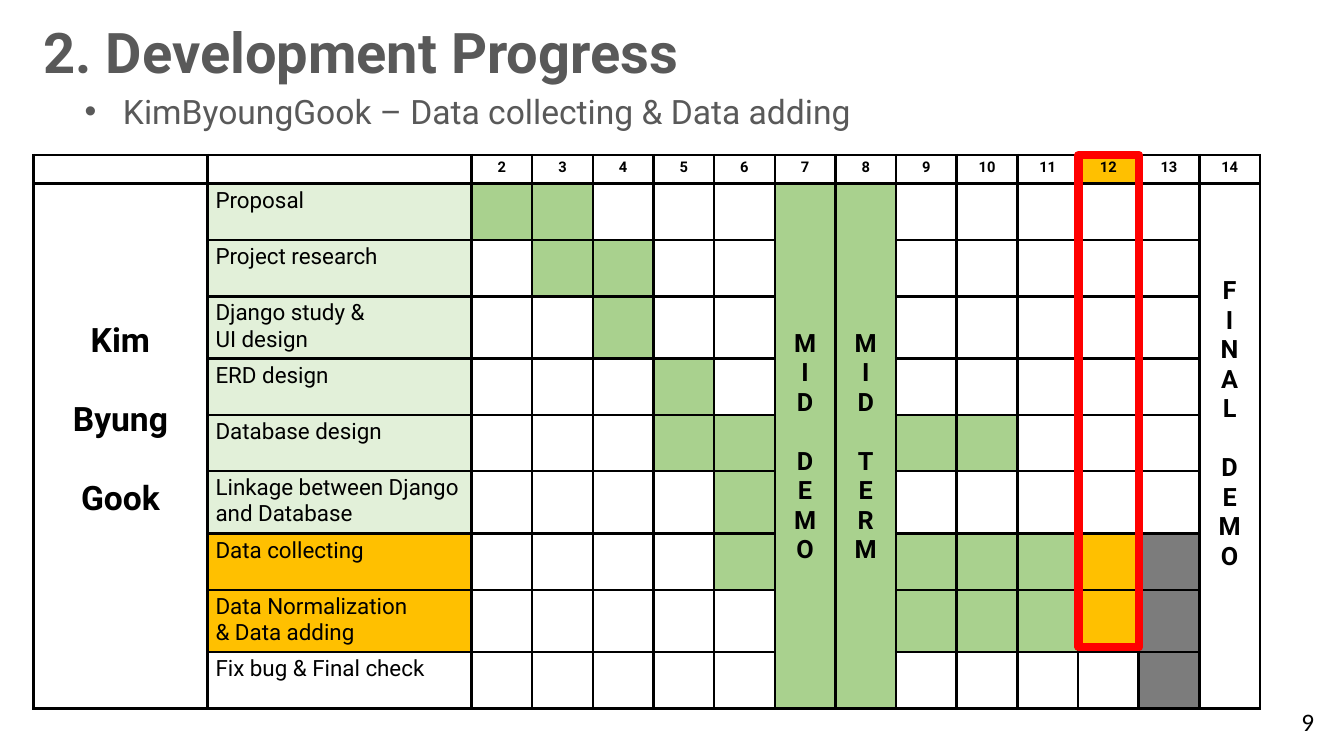
"""Build the development progress slide with its weekly schedule table."""
import dataclasses
import itertools
import typing

import lxml.etree
import pptx
import pptx.dml.color
import pptx.enum.shapes
import pptx.enum.text
import pptx.oxml.ns
import pptx.util

COLORS = {
    "text": "000000", "heading": "595959", "blank": "FFFFFF", "label": "E2F0D9",
    "done": "A9D18E", "now": "FFC000", "left": "7C7C7C", "frame": "FF0000",
}
WIDTH, HEIGHT = 13.33, 7.5
TABLE = (2.48, 20.53, 91.3, 73.2)
WEEKS = range(2, 15)
THIS_WEEK = 12
THICK_AFTER = (4, 10)
COL_UNITS = [2.87, 4.35] + [1] * len(WEEKS)
FRAME_HEIGHT = 65.07
ALIGN = pptx.enum.text.PP_ALIGN
ANCHOR = pptx.enum.text.MSO_ANCHOR
qn = pptx.oxml.ns.qn


@dataclasses.dataclass(frozen=True)
class Task:
    lines: tuple[str, ...]
    done: tuple[int, ...] = ()
    now: tuple[int, ...] = ()
    left: tuple[int, ...] = ()
    label: str = "label"
    units: int = 20

    def color(self, week: int) -> str:
        states = (state for state in ("done", "now", "left") if week in getattr(self, state))
        return next(states, "blank")


@dataclasses.dataclass(frozen=True)
class Span:
    col: int
    lines: tuple[str, ...]
    gaps: tuple[int, ...]
    size: int
    fill: str
    top: float
    anchor: typing.Any = ANCHOR.TOP


TASKS = [
    Task(("Proposal",), (2, 3)),
    Task(("Project research",), (3, 4)),
    Task(("Django study &", "UI design"), (4,), units=22),
    Task(("ERD design",), (5,)),
    Task(("Database design",), (5, 6, 9, 10)),
    Task(("Linkage between Django and Database",), (6,), units=22),
    Task(("Data collecting",), (6, 9, 10, 11), (12,), (13,), "now"),
    Task(("Data Normalization", "& Data adding"), (9, 10, 11), (12,), (13,), "now", 22),
    Task(("Fix bug & Final check",), left=(13,), label="blank"),
]
SPANS = [
    Span(0, ("Kim", "Byung", "Gook"), (1, 2), 24, "blank", 1.37),
    Span(7, tuple("MIDDEMO"), (3,), 18, "done", 0.06, ANCHOR.MIDDLE),
    Span(8, tuple("MIDTERM"), (3,), 18, "done", 0.06, ANCHOR.MIDDLE),
    Span(14, tuple("FINALDEMO"), (5,), 18, "blank", 0.92),
]
ROW_UNITS = [10] + [task.units for task in TASKS]


def apply(target: typing.Any, values: dict[str, typing.Any]) -> None:
    for name, value in values.items():
        setattr(target, name, value)


def rgb(name: str) -> pptx.dml.color.RGBColor:
    return pptx.dml.color.RGBColor.from_string(COLORS[name])


def box(x: float, y: float, w: float, h: float) -> dict[str, int]:
    sides = (("left", x, WIDTH), ("top", y, HEIGHT), ("width", w, WIDTH), ("height", h, HEIGHT))
    return {name: pptx.util.Inches(share * full / 100) for name, share, full in sides}


def write(tf: typing.Any, lines: typing.Sequence[str], size: float, color: str = "text",
          bold: bool = False, align: typing.Any = ALIGN.LEFT,
          gaps: typing.Sequence[int] = (), font: str = "Roboto") -> None:
    for i, line in enumerate(lines):
        p = tf.paragraphs[0] if i == 0 else tf.add_paragraph()
        before = pptx.util.Pt(round(size * 1.17) if i in gaps else 0)
        apply(p, {"alignment": align, "space_before": before})
        r = p.add_run()
        r.text = line
        apply(r.font, {"name": font, "size": pptx.util.Pt(size), "bold": bold})
        r.font.color.rgb = rgb(color)


def style_cell(cell: typing.Any, fill: str, col: int) -> None:
    tc_pr = cell._tc.get_or_add_tcPr()
    thick = {"R": [week for week in THICK_AFTER], "L": [week + 1 for week in THICK_AFTER]}
    for side in "LRTB":
        points = 2.55 if col in thick.get(side, ()) else 1.98
        ln = lxml.etree.SubElement(tc_pr, qn(f"a:ln{side}"), w=str(pptx.util.Pt(points)))
        solid = lxml.etree.SubElement(ln, qn("a:solidFill"))
        lxml.etree.SubElement(solid, qn("a:srgbClr"), val=COLORS["text"])
    cell.fill.solid()
    cell.fill.fore_color.rgb = rgb(fill)
    inch = pptx.util.Inches
    apply(cell, {"margin_left": inch(0.08), "margin_right": inch(0.08),
                 "margin_top": inch(0.04), "margin_bottom": inch(0.04)})
    p = cell.text_frame.paragraphs[0]
    lxml.etree.SubElement(p._p, qn("a:endParaRPr"), sz="1050")


def add_schedule(s: typing.Any) -> None:
    place = box(*TABLE)
    table = s.shapes.add_table(len(ROW_UNITS), len(COL_UNITS), **place).table
    apply(table, {"first_row": False, "horz_banding": False})
    for col, units in zip(table.columns, COL_UNITS):
        col.width = int(place["width"] * units / sum(COL_UNITS))
    for row, units in zip(table.rows, ROW_UNITS):
        row.height = int(place["height"] * units / sum(ROW_UNITS))
    for row, col in itertools.product(range(len(ROW_UNITS)), range(len(COL_UNITS))):
        if row == 0:
            fill = "now" if col == THIS_WEEK else "blank"
        else:
            task = TASKS[row - 1]
            fill = task.label if col == 1 else task.color(col)
        style_cell(table.cell(row, col), fill, col)
    for week in WEEKS:
        write(table.cell(0, week).text_frame, [str(week)], 10.5, bold=True, align=ALIGN.CENTER)
    for row, task in enumerate(TASKS, 1):
        write(table.cell(row, 1).text_frame, task.lines, 16)
    for span in SPANS:
        cell = table.cell(1, span.col)
        cell.merge(table.cell(len(TASKS), span.col))
        cell.fill.fore_color.rgb = rgb(span.fill)
        apply(cell, {"margin_top": pptx.util.Inches(span.top), "vertical_anchor": span.anchor})
        write(cell.text_frame, span.lines, span.size, bold=True, align=ALIGN.CENTER,
              gaps=span.gaps)


def add_headings(s: typing.Any) -> None:
    title, body = s.shapes.title, s.placeholders[1]
    apply(title, box(2.48, 1.6, 56.4, 10.27))
    apply(body, box(5.55, 11.33, 94.45, 6.67))
    for sp, anchor in ((title, ANCHOR.MIDDLE), (body, ANCHOR.TOP)):
        apply(sp.text_frame, {"auto_size": pptx.enum.text.MSO_AUTO_SIZE.NONE,
                              "word_wrap": True, "vertical_anchor": anchor})
    write(title.text_frame, ["2. Development Progress"], 40, "heading", True)
    write(body.text_frame, ["KimByoungGook – Data collecting & Data adding"], 24, "heading")
    p_pr = body.text_frame.paragraphs[0]._p.get_or_add_pPr()
    indent = pptx.util.Inches(0.38)
    p_pr.set("marL", str(indent))
    p_pr.set("indent", str(-indent))


def add_page_number(s: typing.Any) -> None:
    sp = s.shapes.add_textbox(**box(96.1, 92.8, 2.48, 5.33))
    sp.text_frame.word_wrap = False
    write(sp.text_frame, ["9"], 18, font="Calibri")


def add_week_frame(s: typing.Any) -> None:
    left, top, width, _ = TABLE
    unit = width / sum(COL_UNITS)
    place = box(left + unit * sum(COL_UNITS[:THIS_WEEK]), top, unit, FRAME_HEIGHT)
    sp = s.shapes.add_shape(pptx.enum.shapes.MSO_SHAPE.RECTANGLE, **place)
    sp.shadow.inherit = False
    sp.fill.background()
    sp.line.color.rgb = rgb("frame")
    sp.line.width = pptx.util.Pt(6)


def main() -> None:
    prs = pptx.Presentation()
    apply(prs, {"slide_width": pptx.util.Inches(WIDTH), "slide_height": pptx.util.Inches(HEIGHT)})
    s = prs.slides.add_slide(prs.slide_layouts[1])
    add_headings(s)
    add_schedule(s)
    add_page_number(s)
    add_week_frame(s)
    prs.save("out.pptx")


if __name__ == "__main__":
    main()
